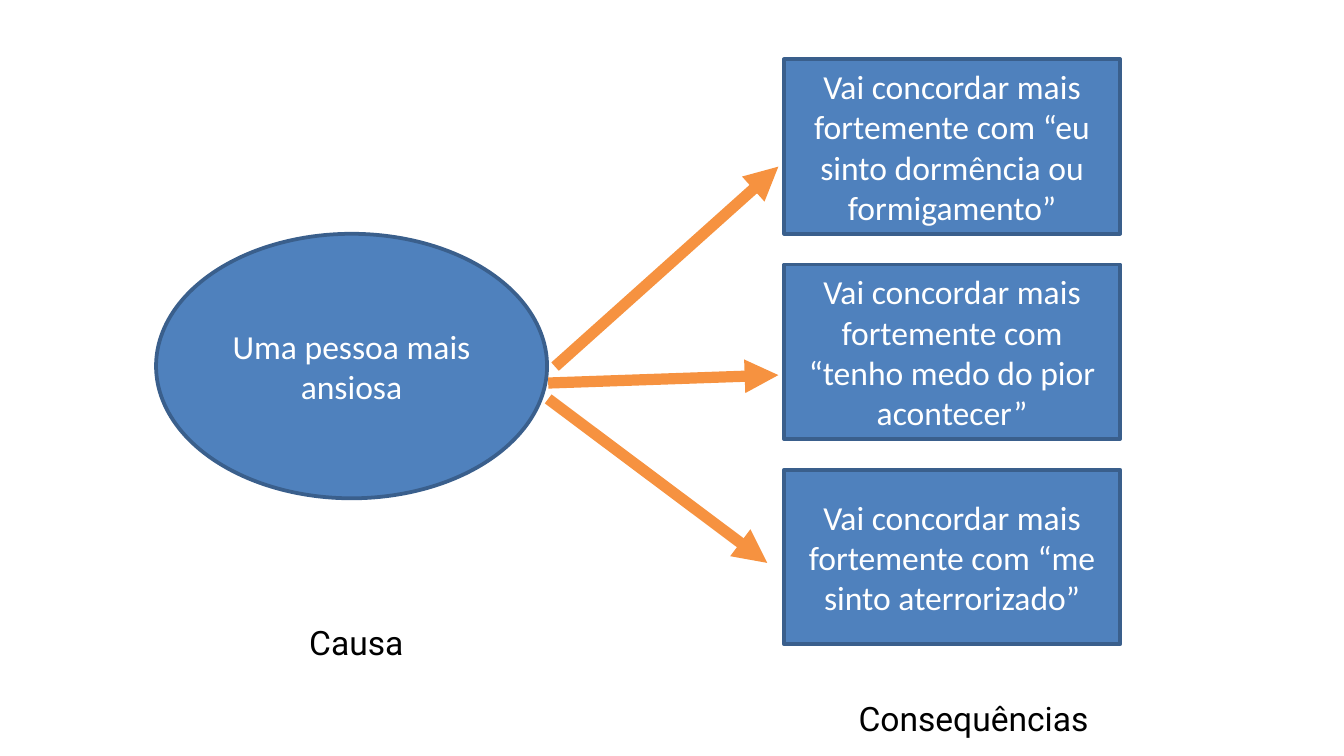
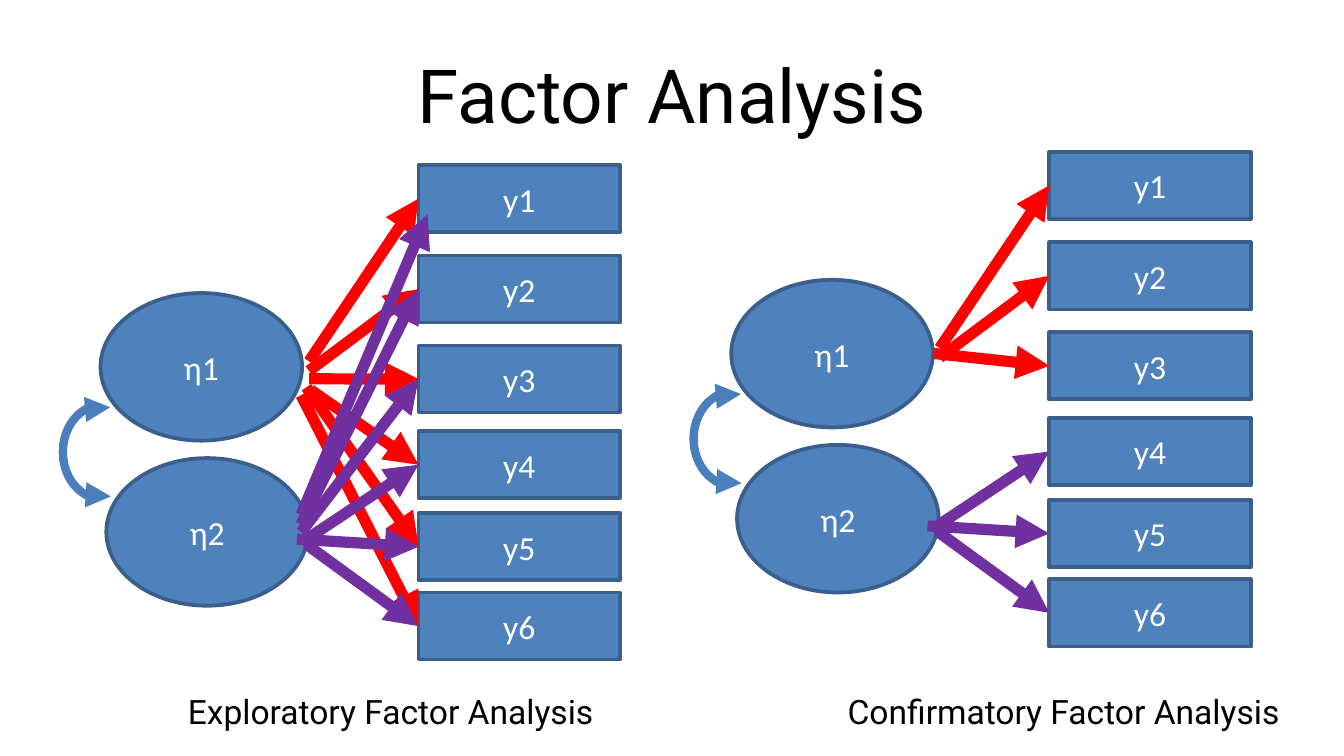
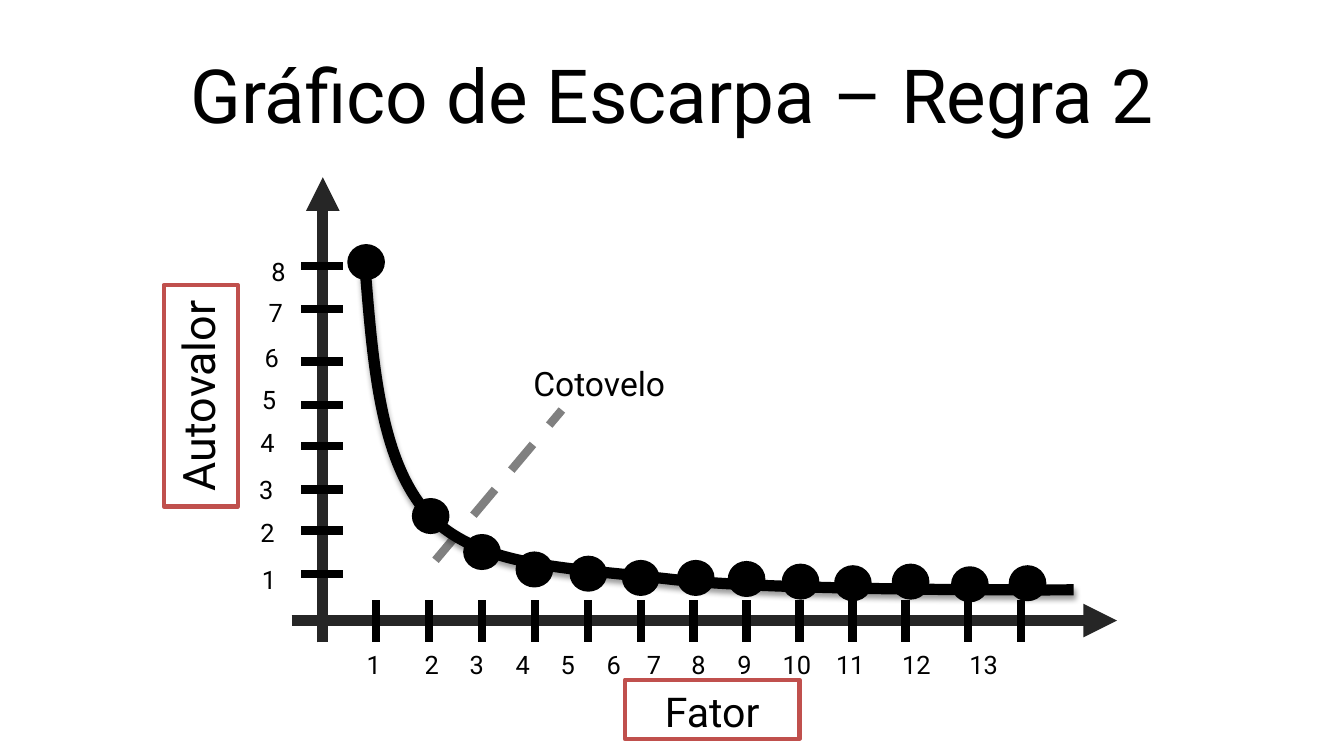
from dataclasses import dataclass

from lxml import etree
from pptx import Presentation
from pptx.dml.color import RGBColor
from pptx.enum.dml import MSO_LINE
from pptx.enum.shapes import MSO_CONNECTOR, MSO_SHAPE
from pptx.enum.text import MSO_ANCHOR, PP_ALIGN
from pptx.oxml.ns import qn
from pptx.shapes.autoshape import Shape
from pptx.shapes.connector import Connector
from pptx.slide import Slide
from pptx.text.text import TextFrame
from pptx.util import Cm, Pt

ELLIPSE = MSO_SHAPE.OVAL
RECTANGLE = MSO_SHAPE.RECTANGLE
ARC = MSO_SHAPE.ARC
STRAIGHT = MSO_CONNECTOR.STRAIGHT
DASH = MSO_LINE.DASH
LEFT, CENTER = PP_ALIGN.LEFT, PP_ALIGN.CENTER
TOP, MIDDLE = MSO_ANCHOR.TOP, MSO_ANCHOR.MIDDLE

BLUE, DARK_BLUE, ARC_BLUE = "4F81BD", "3A5F8C", "4B7EBC"
ORANGE, RED, PURPLE, FRAME_RED = "F69240", "FF0000", "7030A0", "C0504D"
BLACK, CHARCOAL, GRAY, WHITE = "000000", "262626", "808080", "FFFFFF"
BODY_FONT, TITLE_FONT = "Calibri", "Roboto"
TITLE_ONLY, BLANK = 5, 6


@dataclass(frozen=True)
class Box:
    left: float
    top: float
    width: float
    height: float

    def moved(self, right: float, down: float) -> "Box":
        return Box(self.left + right, self.top + down, self.width, self.height)

    def lengths(self) -> tuple[Cm, Cm, Cm, Cm]:
        return Cm(self.left), Cm(self.top), Cm(self.width), Cm(self.height)


@dataclass(frozen=True)
class Segment:
    start_x: float
    start_y: float
    end_x: float
    end_y: float


@dataclass(frozen=True)
class Loading:
    start_x: float
    start_y: float
    indicator: int
    color: str
    shift_x: float = 0
    shift_y: float = 0


@dataclass(frozen=True)
class FactorModel:
    caption: str
    caption_left: float
    right: float
    down: float
    loadings: list[Loading]


TITLE_BOX = Box(1.27, 0.58, 22.86, 2.39)

CAUSE_BOX = Box(2.95, 4.42, 7.39, 5)
CONSEQUENCE_BOX = Box(14.82, 1.12, 6.35, 3.3)
CONSEQUENCE_STEP = 3.88
CONSEQUENCES = [
    "Vai concordar mais fortemente com “eu sinto dormência ou formigamento”",
    "Vai concordar mais fortemente com “tenho medo do pior acontecer”",
    "Vai concordar mais fortemente com “me sinto aterrorizado”",
]
CAUSE_ARROWS = [
    Segment(10.49, 6.93, 14.71, 3.15),
    Segment(10.36, 7.24, 14.71, 7.09),
    Segment(10.36, 7.54, 14.5, 10.64),
]

FACTORS = {"η1": Box(1.9, 5.54, 3.81, 2.79), "η2": Box(2.01, 8.66, 3.81, 2.79)}
CORRELATION_BOX = Box(1.19, 7.67, 1.42, 1.75)
INDICATORS = [Box(7.91, top, 3.81, 1.27) for top in (3.12, 4.83, 6.53, 8.15, 9.7, 11.2)]
MAIN_LOADINGS = [
    Loading(5.84, 6.83, 0, RED),
    Loading(5.84, 7.01, 1, RED),
    Loading(5.69, 10.26, 3, PURPLE),
    Loading(5.61, 10.19, 4, PURPLE),
    Loading(5.79, 10.29, 5, PURPLE),
]
CROSS_LOADINGS = [
    Loading(5.84, 7.16, 2, RED),
    Loading(5.87, 7.37, 3, RED),
    Loading(5.79, 7.32, 4, RED),
    Loading(5.69, 7.47, 5, RED),
    Loading(5.69, 9.73, 0, PURPLE, 0.17, 0.3),
    Loading(5.69, 9.91, 1, PURPLE),
    Loading(5.69, 10.06, 2, PURPLE),
]
MODELS = [
    FactorModel("Exploratory Factor Analysis", 3.3, 0, 0, CROSS_LOADINGS + MAIN_LOADINGS),
    FactorModel("Confirmatory Factor Analysis", 15.77, 11.92, -0.25,
                [Loading(5.72, 6.93, 2, RED)] + MAIN_LOADINGS),
]

FACTOR_TICKS = [7.11 + step for step in range(11)] + [18.29, 19.3]
FACTOR_LABEL_STOPS = [1.23, 2.08, 2.95, 3.8, 4.67, 5.43, 6.27, 7.14, 8.13, 9.14, 10.39, 11.66]
EIGENVALUE_TICKS = [10.85, 10.03, 9.25, 8.43, 7.65, 6.83, 5.84, 5.03]
EIGENVALUE_LABELS = [
    (4.7, 10.54), (4.67, 9.65), (4.65, 8.84), (4.67, 7.95),
    (4.7, 7.14), (4.75, 6.35), (4.83, 5.49), (4.88, 4.72),
]
DOTS = [
    (6.6, 4.65), (7.82, 9.45), (8.79, 10.13), (9.78, 10.46), (10.8, 10.54),
    (11.79, 10.62), (12.83, 10.62), (13.79, 10.64), (14.81, 10.69), (15.8, 10.72),
    (16.89, 10.69), (18.01, 10.74), (19.1, 10.72),
]
CURVE_START = (6.91, 5.18)
CURVE_CONTROLS = [
    (7.06, 7.01), (7.21, 8.81), (8.15, 9.78),
    (9.12, 10.72), (10.64, 10.72), (12.67, 10.95),
    (14.68, 11.18), (20.29, 11.15), (20.29, 11.15),
]


def rgb(color: str) -> RGBColor:
    return RGBColor.from_string(color)


def write(frame: TextFrame, text: str, size: float, font: str = TITLE_FONT,
          color: str = BLACK, alignment: PP_ALIGN = LEFT, anchor: MSO_ANCHOR = TOP,
          wrap: bool = False) -> None:
    frame.word_wrap = wrap
    frame.vertical_anchor = anchor
    paragraph = frame.paragraphs[0]
    paragraph.alignment = alignment
    run = paragraph.add_run()
    run.text = text
    run.font.size = Pt(size)
    run.font.name = font
    run.font.color.rgb = rgb(color)


def style_line(target: Shape | Connector, color: str, width: float) -> None:
    target.line.color.rgb = rgb(color)
    target.line.width = Pt(width)


def add_arrowheads(target: Shape | Connector, *ends: str) -> None:
    line = target.line._get_or_add_ln()
    for end in ends:
        etree.SubElement(line, qn(f"a:{end}"), type="triangle")


def draw_shape(slide: Slide, kind: MSO_SHAPE, box: Box, fill: str | None,
               line: str, width: float) -> Shape:
    shape = slide.shapes.add_shape(kind, *box.lengths())
    shape.shadow.inherit = False
    if fill:
        shape.fill.solid()
        shape.fill.fore_color.rgb = rgb(fill)
    else:
        shape.fill.background()
    style_line(shape, line, width)
    return shape


def draw_node(slide: Slide, kind: MSO_SHAPE, box: Box, text: str) -> None:
    shape = draw_shape(slide, kind, box, BLUE, DARK_BLUE, 2)
    write(shape.text_frame, text, 18, BODY_FONT, WHITE, CENTER, MIDDLE, True)


def draw_frame(slide: Slide, box: Box, text: str, size: float) -> Shape:
    shape = draw_shape(slide, RECTANGLE, box, None, FRAME_RED, 2.25)
    write(shape.text_frame, text, size, alignment=CENTER)
    return shape


def draw_label(slide: Slide, box: Box, text: str, size: float = 18,
               alignment: PP_ALIGN = LEFT) -> None:
    write(slide.shapes.add_textbox(*box.lengths()).text_frame, text, size, alignment=alignment)


def draw_line(slide: Slide, segment: Segment, color: str, width: float) -> Connector:
    connector = slide.shapes.add_connector(
        STRAIGHT, Cm(segment.start_x), Cm(segment.start_y), Cm(segment.end_x), Cm(segment.end_y))
    style_line(connector, color, width)
    etree.SubElement(connector.element.spPr, qn("a:effectLst"))
    return connector


def draw_arrow(slide: Slide, segment: Segment, color: str) -> None:
    add_arrowheads(draw_line(slide, segment, color, 6), "tailEnd")


def add_titled_slide(presentation: Presentation, text: str) -> Slide:
    slide = presentation.slides.add_slide(presentation.slide_layouts[TITLE_ONLY])
    title = slide.shapes.title
    title.left, title.top, title.width, title.height = TITLE_BOX.lengths()
    write(title.text_frame, text, 40, alignment=CENTER, anchor=MIDDLE, wrap=True)
    return slide


def build_cause_slide(presentation: Presentation) -> None:
    slide = presentation.slides.add_slide(presentation.slide_layouts[BLANK])
    draw_node(slide, ELLIPSE, CAUSE_BOX, "Uma pessoa mais ansiosa")
    for index, text in enumerate(CONSEQUENCES):
        draw_node(slide, RECTANGLE, CONSEQUENCE_BOX.moved(0, index * CONSEQUENCE_STEP), text)
    draw_label(slide, Box(5.26, 11.63, 2.95, 1.17), "Causa", alignment=CENTER)
    draw_label(slide, Box(15.8, 13.06, 5.2, 1.17), "Consequências", alignment=CENTER)
    for segment in CAUSE_ARROWS:
        draw_arrow(slide, segment, ORANGE)


def draw_model(slide: Slide, model: FactorModel) -> None:
    for number, box in enumerate(INDICATORS, 1):
        draw_node(slide, RECTANGLE, box.moved(model.right, model.down), f"y{number}")
    for (name, box), color in zip(FACTORS.items(), (RED, PURPLE)):
        draw_node(slide, ELLIPSE, box.moved(model.right, model.down), name)
        for loading in model.loadings:
            if loading.color == color:
                target = INDICATORS[loading.indicator]
                draw_arrow(slide, Segment(
                    loading.start_x + model.right,
                    loading.start_y + model.down,
                    target.left + loading.shift_x + model.right,
                    target.top + target.height / 2 + loading.shift_y + model.down), color)
    arc = draw_shape(slide, ARC, CORRELATION_BOX.moved(model.right, model.down),
                     None, ARC_BLUE, 4.5)
    arc.adjustments[0] = 46.11
    arc.adjustments[1] = 169.37
    add_arrowheads(arc, "headEnd", "tailEnd")
    draw_label(slide, Box(model.caption_left, 12.93, 9, 1.02), model.caption)


def build_factor_slide(presentation: Presentation) -> None:
    slide = add_titled_slide(presentation, "Factor Analysis")
    for model in MODELS:
        draw_model(slide, model)


def draw_curve(slide: Slide) -> None:
    builder = slide.shapes.build_freeform(*map(Cm, CURVE_START))
    builder.add_line_segments([(Cm(x), Cm(y)) for x, y in CURVE_CONTROLS], close=False)
    curve = builder.convert_to_shape()
    curve.fill.background()
    style_line(curve, BLACK, 6)
    outline = next(curve.element.iter(qn("a:path")))
    steps = outline.findall(qn("a:lnTo"))
    for first in range(0, len(steps), 3):
        bezier = etree.SubElement(outline, qn("a:cubicBezTo"))
        for step in steps[first:first + 3]:
            bezier.append(step[0])
            outline.remove(step)
    effects = etree.SubElement(curve.element.spPr, qn("a:effectLst"))
    shadow = etree.SubElement(effects, qn("a:outerShdw"), blurRad="40000", dist="20000",
                              dir="5400000", rotWithShape="0")
    shade = etree.SubElement(shadow, qn("a:srgbClr"), val=BLACK)
    etree.SubElement(shade, qn("a:alpha"), val="38000")


def draw_factor_labels(slide: Slide) -> None:
    frame = slide.shapes.add_textbox(*Box(6.68, 12.14, 13.82, 0.74).lengths()).text_frame
    numbers = range(1, len(FACTOR_LABEL_STOPS) + 2)
    write(frame, "\t".join(map(str, numbers)), 13.6, wrap=True)
    properties = frame.paragraphs[0]._p.get_or_add_pPr()
    stops = etree.SubElement(properties, qn("a:tabLst"))
    for position in FACTOR_LABEL_STOPS:
        etree.SubElement(stops, qn("a:tab"), pos=str(int(Cm(position))), algn="ctr")


def build_scree_slide(presentation: Presentation) -> None:
    slide = add_titled_slide(presentation, "Gráfico de Escarpa – Regra 2")
    elbow = draw_line(slide, Segment(8.23, 10.59, 10.62, 7.75), GRAY, 4.5)
    elbow.line.dash_style = DASH
    draw_arrow(slide, Segment(5.51, 11.73, 21.11, 11.73), CHARCOAL)
    draw_arrow(slide, Segment(6.1, 12.14, 6.1, 3.35), CHARCOAL)
    for x in FACTOR_TICKS:
        draw_line(slide, Segment(x, 11.35, x, 12.14), BLACK, 4.5)
    draw_factor_labels(slide)
    for left, top in DOTS:
        draw_shape(slide, ELLIPSE, Box(left, top, 0.64, 0.61), BLACK, BLACK, 2)
    draw_curve(slide)
    draw_frame(slide, Box(1.7, 6.78, 4.19, 1.4), "Autovalor", 24).rotation = 270
    draw_frame(slide, Box(11.81, 12.85, 3.3, 1.12), "Fator", 22)
    for y in EIGENVALUE_TICKS:
        draw_line(slide, Segment(6.48, y, 5.68, y), BLACK, 4.5)
    for number, (left, top) in enumerate(EIGENVALUE_LABELS, 1):
        draw_label(slide, Box(left, top, 0.64, 0.74), str(number), 13.6)
    draw_label(slide, Box(9.83, 6.73, 3.02, 0.97), "Cotovelo")


def main() -> None:
    presentation = Presentation()
    presentation.slide_width, presentation.slide_height = Cm(25.4), Cm(14.29)
    build_cause_slide(presentation)
    build_factor_slide(presentation)
    build_scree_slide(presentation)
    presentation.save("out.pptx")


if __name__ == "__main__":
    main()
